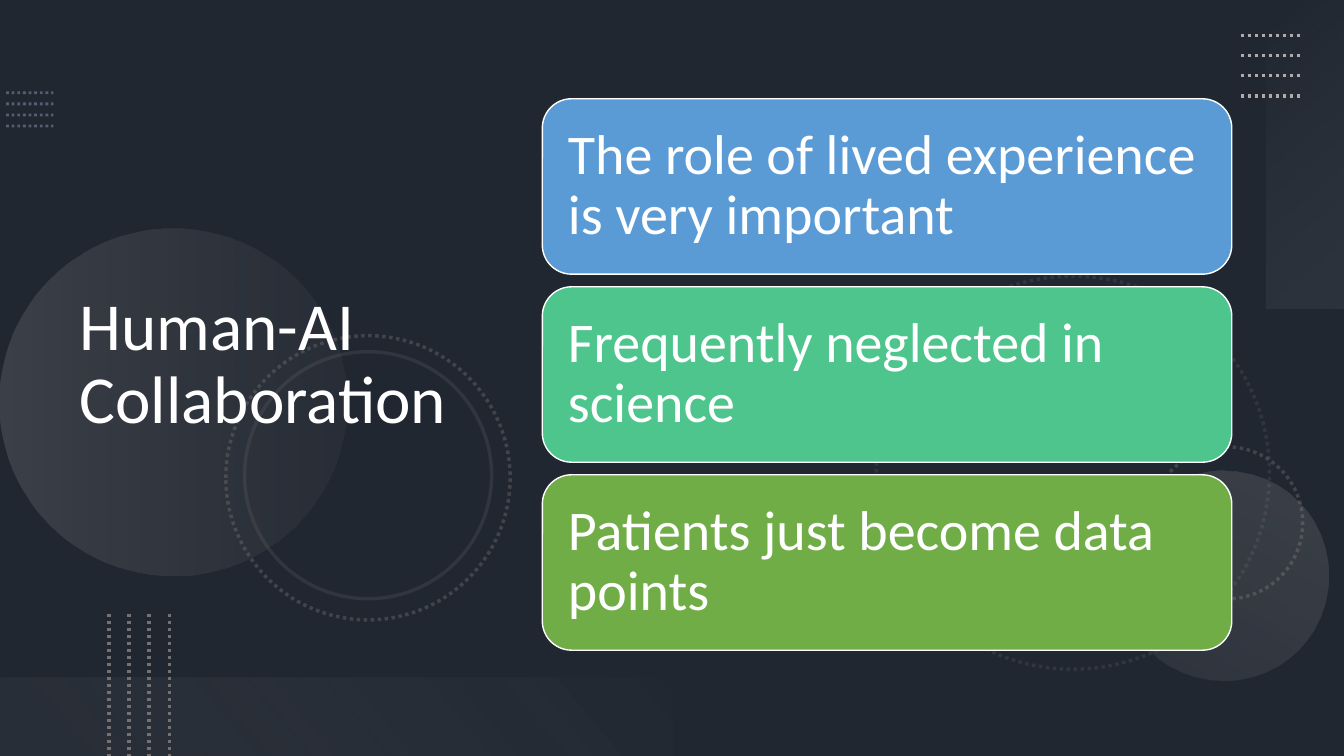
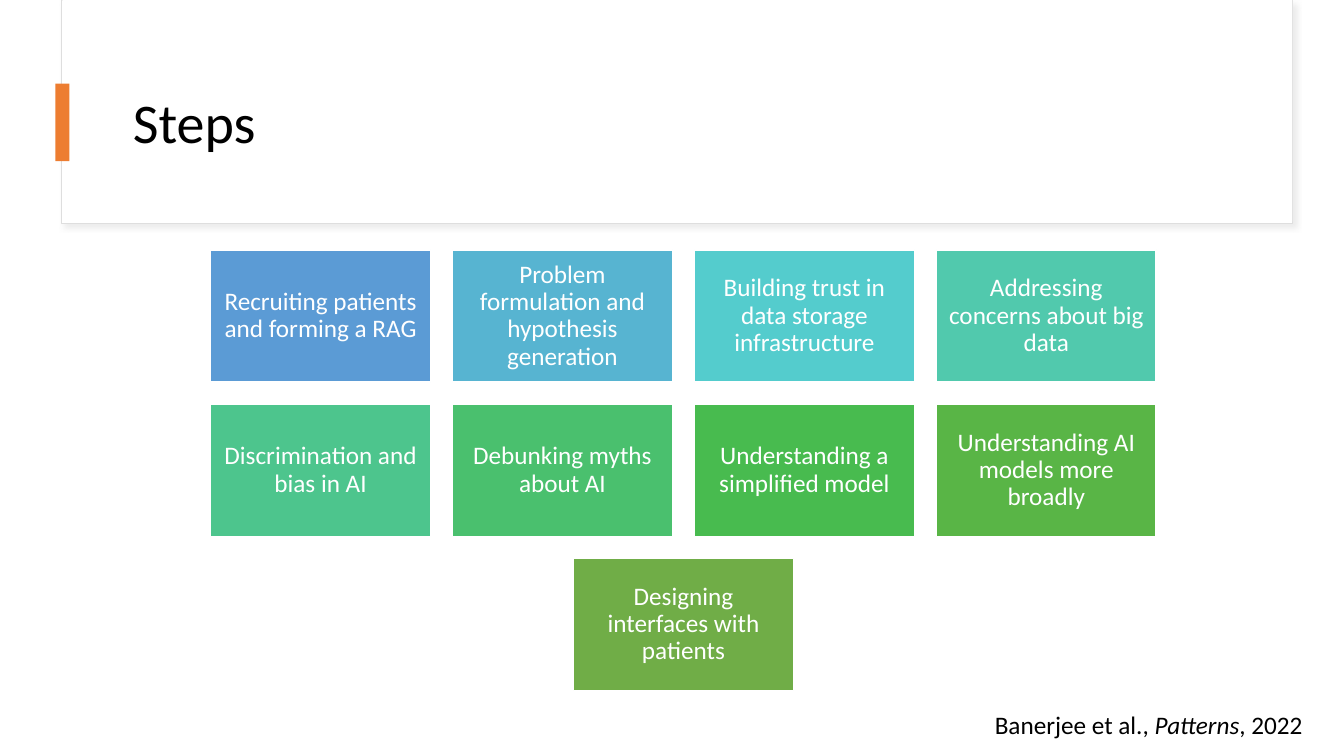
from lxml.etree import SubElement
from pptx import Presentation
from pptx.dml.color import RGBColor
from pptx.enum.dml import MSO_LINE
from pptx.enum.shapes import MSO_CONNECTOR, MSO_SHAPE
from pptx.enum.text import MSO_ANCHOR, PP_ALIGN
from pptx.oxml.ns import qn
from pptx.util import Inches, Pt

RECT, ROUNDED, OVAL = MSO_SHAPE.RECTANGLE, MSO_SHAPE.ROUNDED_RECTANGLE, MSO_SHAPE.OVAL
STRAIGHT, DOTTED = MSO_CONNECTOR.STRAIGHT, MSO_LINE.ROUND_DOT
LEFT, CENTER = PP_ALIGN.LEFT, PP_ALIGN.CENTER
TOP, MIDDLE = MSO_ANCHOR.TOP, MSO_ANCHOR.MIDDLE

WIDTH, HEIGHT = Inches(13.33), Inches(7.5)
COL, ROW = WIDTH / 100, HEIGHT / 100
FONT = "Calibri"

WHITE = RGBColor(0xFF, 0xFF, 0xFF)
BLACK = RGBColor(0x00, 0x00, 0x00)
SLATE = RGBColor(0x44, 0x54, 0x6A)
STEEL = RGBColor(0x84, 0x97, 0xB0)
GRAY = RGBColor(0x76, 0x71, 0x71)
SILVER = RGBColor(0xAF, 0xAB, 0xAB)
PALE = RGBColor(0xF5, 0xF5, 0xF5)
MIST = RGBColor(0xF1, 0xF0, 0xF0)
BORDER = RGBColor(0xDE, 0xDE, 0xDE)
ORANGE = RGBColor(0xED, 0x7D, 0x31)
BLUE = RGBColor(0x5B, 0x9B, 0xD5)
SKY = RGBColor(0x57, 0xB4, 0xD1)
CYAN = RGBColor(0x54, 0xCC, 0xCD)
TEAL = RGBColor(0x51, 0xC9, 0xAD)
MINT = RGBColor(0x4D, 0xC5, 0x8D)
EMERALD = RGBColor(0x4A, 0xC0, 0x6E)
GREEN = RGBColor(0x48, 0xBB, 0x4F)
LEAF = RGBColor(0x59, 0xB5, 0x46)
OLIVE = RGBColor(0x70, 0xAD, 0x47)

MESSAGES = [
    ("The role of lived experience is very important", BLUE),
    ("Frequently neglected in science", MINT),
    ("Patients just become data points", OLIVE),
]
STEPS = [
    ("Recruiting patients and forming a RAG", BLUE),
    ("Problem formulation and hypothesis generation", SKY),
    ("Building trust in data storage infrastructure", CYAN),
    ("Addressing concerns about big data", TEAL),
    ("Discrimination and bias in AI", MINT),
    ("Debunking myths about AI", EMERALD),
    ("Understanding a simplified model", GREEN),
    ("Understanding AI models more broadly", LEAF),
    ("Designing interfaces with patients", OLIVE),
]
STEPS_PER_ROW = 4


def on_grid(left, top, width, height):
    return [round(n) for n in (left * COL, top * ROW, width * COL, height * ROW)]


def set_opacity(owner, *percents):
    for color, percent in zip(owner.iter(qn("a:srgbClr")), percents):
        SubElement(color, qn("a:alpha"), val=str(percent * 1000))


def set_line(line, color, width, dash=None):
    line.color.rgb = color
    line.width = Pt(width)
    if dash:
        line.dash_style = dash


def add_panel(slide, kind, area, fill=None, line=None):
    panel = slide.shapes.add_shape(kind, *on_grid(*area))
    panel.shadow.inherit = False
    if fill is None:
        panel.fill.background()
    else:
        panel.fill.solid()
        panel.fill.fore_color.rgb = fill
    if line is None:
        panel.line.fill.background()
    else:
        set_line(panel.line, *line)
    return panel


def add_glow(slide, kind, area, rotation, angle, stops):
    glow = add_panel(slide, kind, area)
    glow.rotation = rotation
    glow.fill.gradient()
    glow.fill.gradient_angle = 360 - angle
    for stop, (position, color, _) in zip(glow.fill.gradient_stops, stops):
        stop.position = position
        stop.color.rgb = color
    set_opacity(glow._element.spPr, *[opacity for _, _, opacity in stops])


def circle_area(left, top, diameter):
    return left, top, diameter * ROW / COL, diameter


def add_ring(slide, circle, opacity, dash=None):
    ring = add_panel(slide, OVAL, circle_area(*circle), line=(GRAY, 2.5, dash))
    set_opacity(ring._element.spPr, opacity)


def add_dotted_lines(slide, start, end, step, color, width, opacity):
    for i in range(4):
        shift = (step[0] * i, step[1] * i)
        ends = on_grid(start[0] + shift[0], start[1] + shift[1],
                       end[0] + shift[0], end[1] + shift[1])
        dots = slide.shapes.add_connector(STRAIGHT, *ends)
        set_line(dots.line, color, width, DOTTED)
        set_opacity(dots._element.spPr, opacity)
        SubElement(dots._element.spPr, qn("a:effectLst"))


def write_text(holder, runs, size, color, align=LEFT, anchor=MIDDLE,
               inset=(0.1, 0.05), spacing=0.9):
    frame = holder.text_frame
    across, down = map(Inches, inset)
    layout = {"word_wrap": True, "vertical_anchor": anchor,
              "margin_left": across, "margin_right": across,
              "margin_top": down, "margin_bottom": down}
    for name, value in layout.items():
        setattr(frame, name, value)
    paragraph = frame.paragraphs[0]
    paragraph.alignment = align
    paragraph.line_spacing = spacing
    for text, italic in runs:
        run = paragraph.add_run()
        run.text = text
        run.font.color.rgb = color
        for name, value in {"name": FONT, "size": Pt(size), "italic": italic}.items():
            setattr(run.font, name, value)


def add_text(slide, area, runs, size, color, **layout):
    holder = slide.shapes.add_textbox(*on_grid(*area))
    write_text(holder, runs, size, color, **layout)


def add_card(slide, kind, area, text, fill, size, align, inset):
    card = add_panel(slide, kind, area, fill, (WHITE, 1))
    write_text(card, [(text, False)], size, WHITE, align, inset=(inset, inset))


def add_slide(deck, background):
    slide = deck.slides.add_slide(deck.slide_layouts[6])
    slide.background.fill.solid()
    slide.background.fill.fore_color.rgb = background
    return slide


def add_backdrop(slide):
    veil = add_panel(slide, RECT, (0, 0, 100, 100), BLACK)
    set_opacity(veil._element.spPr, 53)
    add_dotted_lines(slide, (0.45, 12.27), (3.98, 12.27), (0, 1.47), STEEL, 2, 50)
    add_ring(slide, (65.2, 36.53, 52), 20, DOTTED)
    add_ring(slide, (85.6, 59.1, 20.13), 40, DOTTED)
    add_glow(slide, OVAL, circle_area(0, 30.27, 45.87), 270, 90,
             [(0, SILVER, 20), (1, GRAY, 10)])
    add_glow(slide, OVAL, circle_area(83.25, 62.27, 27.73), 210, 90,
             [(0, SILVER, 10), (1, SILVER, 20)])
    add_ring(slide, (16.8, 44.4, 37.6), 40, DOTTED)
    add_ring(slide, (18.2, 46.53, 32.67), 20)
    add_glow(slide, RECT, (85.65, 15.2, 22.95, 10.4), 270, 140,
             [(0, PALE, 0), (1, SILVER, 10)])
    add_dotted_lines(slide, (92.33, 4.67), (96.83, 4.67), (0, 2.67), SILVER, 2.5, 100)
    add_glow(slide, RECT, (0, 89.6, 50, 10.4), 180, 140,
             [(0.1, GRAY, 10), (1, MIST, 0)])
    add_dotted_lines(slide, (8.1, 81.2), (8.1, 100), (1.5, 0), GRAY, 2.5, 100)


def build_collaboration(deck):
    slide = add_slide(deck, SLATE)
    add_backdrop(slide)
    add_text(slide, (5.18, 7.2, 34.43, 82.27),
             [("Human-AI Collaboration", False)], 48, WHITE)
    for i, (message, fill) in enumerate(MESSAGES):
        area = (40.35, 13.07 + 24.87 * i, 51.3, 23.2)
        add_card(slide, ROUNDED, area, message, fill, 40, LEFT, 0.17)


def add_header(slide, title):
    frame = add_panel(slide, RECT, (4.58, 0.13, 91.58, 29.47), WHITE, (BORDER, 0.75))
    effects = frame._element.spPr.find(qn("a:effectLst"))
    shadow = SubElement(effects, qn("a:outerShdw"), blurRad=str(Pt(4)),
                        dist=str(Pt(3)), dir="2700000", rotWithShape="0")
    SubElement(shadow, qn("a:srgbClr"), val="D9D9D9")
    set_opacity(shadow, 50)
    add_panel(slide, RECT, (4.65, 0, 91.5, 29.33), WHITE)
    add_text(slide, (9.15, 8, 83.4, 17.2), [(title, False)], 40, BLACK)
    add_panel(slide, RECT, (4.12, 11.07, 1.05, 10.27), ORANGE)


def build_steps(deck):
    slide = add_slide(deck, WHITE)
    add_header(slide, "Steps")
    for i, (step, fill) in enumerate(STEPS):
        row, column = divmod(i, STEPS_PER_ROW)
        in_row = min(STEPS_PER_ROW, len(STEPS) - row * STEPS_PER_ROW)
        column += (STEPS_PER_ROW - in_row) / 2
        area = (15.68 + 18 * column, 33.07 + 20.4 * row, 16.35, 17.47)
        add_card(slide, RECT, area, step, fill, 18, CENTER, 0.07)
    add_text(slide, (73.28, 93.2, 25.65, 5.33),
             [("Banerjee et al., ", False), ("Patterns", True), (", 2022", False)],
             18, BLACK, anchor=TOP, spacing=1.0)


def main():
    deck = Presentation()
    deck.slide_width, deck.slide_height = WIDTH, HEIGHT
    build_collaboration(deck)
    build_steps(deck)
    deck.save("out.pptx")


if __name__ == "__main__":
    main()
